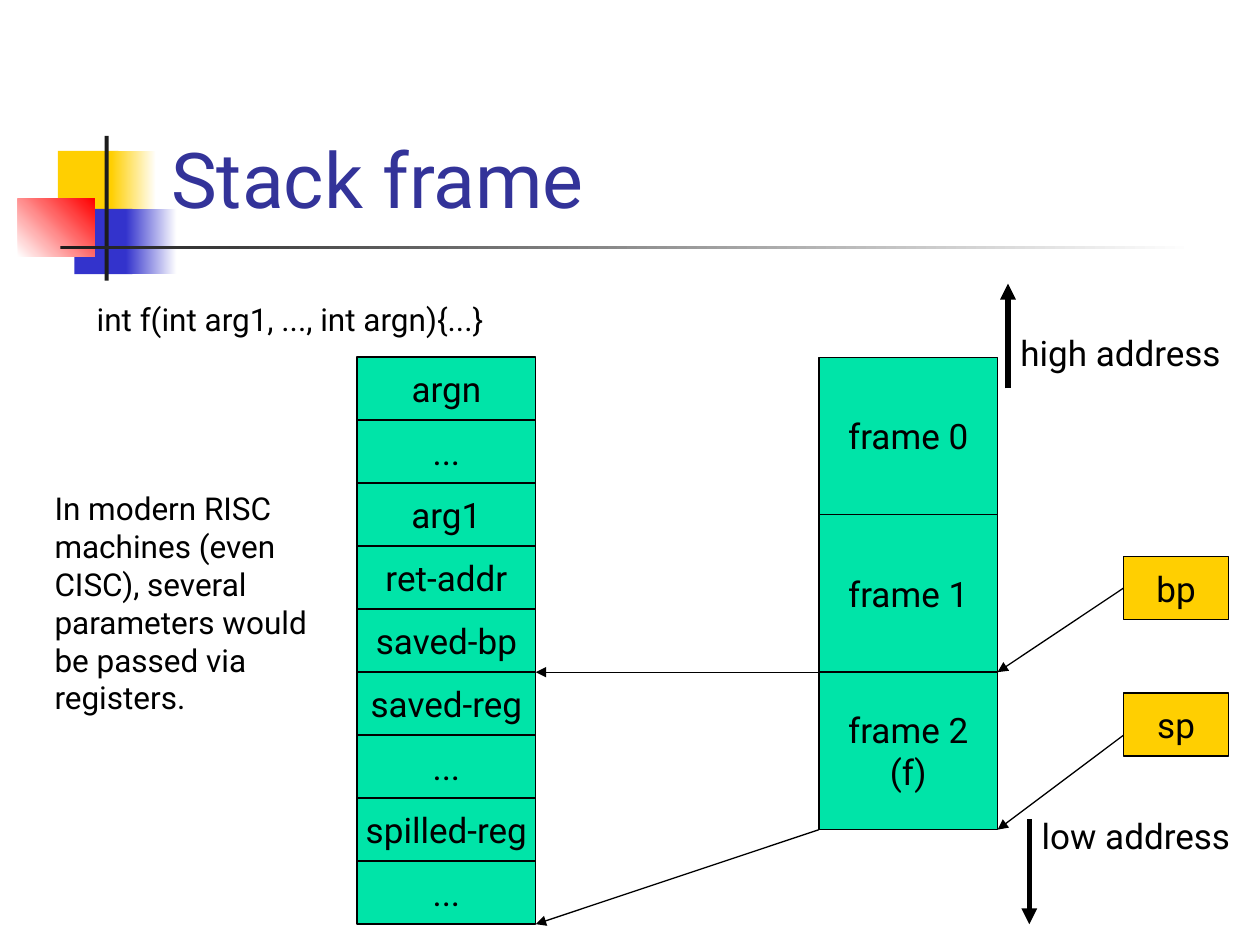
from lxml import etree
from pptx import Presentation
from pptx.dml.color import RGBColor as Rgb
from pptx.enum.shapes import MSO_CONNECTOR as Link, MSO_SHAPE as Kind
from pptx.enum.text import MSO_ANCHOR as Anchor, MSO_AUTO_SIZE as Auto, PP_ALIGN as Align
from pptx.oxml.ns import qn
from pptx.util import Cm, Pt

FONT = "Roboto"
HUES = {
    "gold": "FFCF01", "blue": "3333CC", "red": "FF0000", "dark": "1C1C1C",
    "white": "FFFFFF", "title": "333399", "green": "00E4A8", "ink": "000000",
}


def hue(name):
    return Rgb.from_string(HUES[name])


def write(frame, lines, size, color="ink", align=Align.LEFT):
    """Put each line in its own paragraph."""
    for i, line in enumerate(lines):
        para = frame.paragraphs[0] if i == 0 else frame.add_paragraph()
        para.alignment = align
        run = para.add_run()
        run.text = line
        run.font.size = Pt(size)
        run.font.name = FONT
        run.font.color.rgb = hue(color)


def block(slide, box, color, fade=None, angle=0):
    """Plain rectangle, solid or fading from one colour to another."""
    shape = slide.shapes.add_shape(Kind.RECTANGLE, *map(Cm, box))
    shape.shadow.inherit = False
    shape.line.fill.background()
    if fade:
        shape.fill.gradient()
        shape.fill.gradient_angle = angle
        for stop, name in zip(shape.fill.gradient_stops, (color, fade)):
            stop.color.rgb = hue(name)
    else:
        shape.fill.solid()
        shape.fill.fore_color.rgb = hue(color)
    return shape


def cell(slide, box, text, color):
    """Outlined rectangle with a centred label."""
    shape = block(slide, box, color)
    shape.line.color.rgb = hue("ink")
    shape.line.width = Pt(0.75)
    frame = shape.text_frame
    frame.word_wrap = False
    frame.vertical_anchor = Anchor.MIDDLE
    write(frame, text.split("\n"), 20, align=Align.CENTER)
    return shape


def arrow(slide, start, end, width=0.75):
    line = slide.shapes.add_connector(Link.STRAIGHT, *map(Cm, (*start, *end)))
    line.line.color.rgb = hue("ink")
    line.line.width = Pt(width)
    etree.SubElement(line.line._get_or_add_ln(), qn("a:tailEnd"), type="triangle")
    etree.SubElement(line._element.spPr, qn("a:effectLst"))
    return line


def note(slide, box, text, size):
    frame = slide.shapes.add_textbox(*map(Cm, box)).text_frame
    frame.word_wrap = True
    write(frame, [text], size)


def emblem(slide, x, y):
    """Coloured squares with the crossing bars."""
    parts = [
        (0.81, 0.3, 1.22, 1.32, "gold"),
        (1.88, 0.3, 0.91, 1.32, "gold", "white"),
        (1.14, 1.47, 1.17, 1.32, "blue"),
        (2.18, 1.47, 1.02, 1.32, "blue", "white"),
        (0, 1.27, 1.55, 1.17, "white", "red", 45),
        (1.75, 0, 0.08, 2.92, "dark"),
        (0.86, 2.21, 22.86, 0.08, "dark", "white"),
    ]
    for dx, dy, w, h, *paint in parts:
        block(slide, (x + dx, y + dy, w, h), *paint)


def heading(slide, box, text):
    title = slide.shapes.title
    title.left, title.top, title.width, title.height = map(Cm, box)
    frame = title.text_frame
    frame.auto_size = Auto.NONE
    frame.vertical_anchor = Anchor.BOTTOM
    write(frame, [text], 44, "title")


def stack(slide, box, labels):
    """Column of equal cells filling the box."""
    x, y, w, h = box
    step = h / len(labels)
    for i, label in enumerate(labels):
        cell(slide, (x, y + i * step, w, step), label, "green")


def main():
    deck = Presentation()
    deck.slide_width, deck.slide_height = Cm(25.4), Cm(19.05)
    slide = deck.slides.add_slide(deck.slide_layouts[5])

    # Title area
    emblem(slide, 0.36, 2.74)
    heading(slide, (3.2, 0.58, 21.64, 4.06), "Stack frame")

    # Memory columns
    top, wide, row = 7.2, 3.6, 1.27
    left, right = 7.2, 16.51
    slots = ["argn", "...", "arg1", "ret-addr", "saved-bp",
             "saved-reg", "...", "spilled-reg", "..."]
    stack(slide, (left, top, wide, len(slots) * row), slots)
    stack(slide, (right, top, wide, 7.5 * row), ["frame 0", "frame 1", "frame 2\n(f)"])

    # Registers
    base, foot = top + 5 * row, top + 7.5 * row
    edge = right + wide
    bp = cell(slide, (22.65, 11.22, 2.12, row), "bp", "gold")
    cell(slide, (22.65, 13.97, 2.12, row), "sp", "gold")
    arrow(slide, (22.65, 11.85), (edge, base)).begin_connect(bp, 1)
    arrow(slide, (22.65, 14.82), (edge, foot))

    # Frame 2 expands into the left column
    arrow(slide, (right, base), (left + wide, base))
    arrow(slide, (right, foot), (left + wide, top + len(slots) * row))

    # Address directions
    arrow(slide, (20.32, 7.83), (20.32, 5.72), 3)
    arrow(slide, (20.75, 16.51), (20.75, 18.63), 3)
    note(slide, (20.32, 6.56, 4.66, 1.1), "high address", 20)
    note(slide, (20.75, 16.3, 4.66, 1.1), "low address", 20)

    # Remarks
    note(slide, (1.7, 5.93, 9.74, 1.02), "int f(int arg1, ..., int argn){...}", 18)
    note(slide, (0.85, 9.74, 5.72, 4.87),
         "In modern RISC machines (even CISC), several parameters "
         "would be passed via registers.", 18)

    deck.save("out.pptx")


if __name__ == "__main__":
    main()
